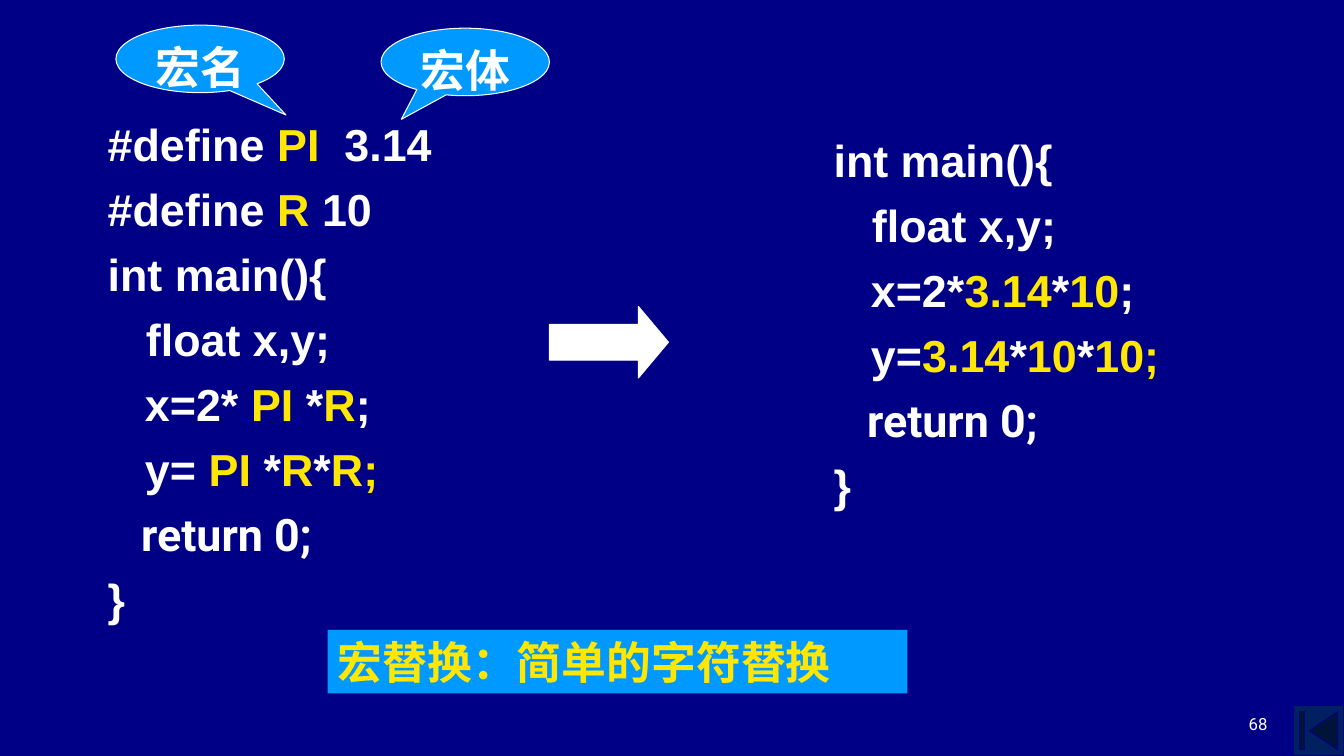
from pptx import Presentation
from pptx import util as u
from pptx.dml.color import RGBColor
from pptx.enum import shapes, text

EMU_PER_PX = 9144  # 100 px to the inch

NAVY = RGBColor(0x00, 0x00, 0x86)
DARK_BLUE = RGBColor(0x00, 0x20, 0x60)
SKY = RGBColor(0x00, 0x99, 0xFF)
WHITE = RGBColor(0xFF, 0xFF, 0xFF)
YELLOW = RGBColor(0xFF, 0xE7, 0x01)

SHAPE = shapes.MSO_SHAPE
ANCHOR = text.MSO_ANCHOR
ALIGN = text.PP_ALIGN

# Bars enclose the macro names and the values that replace them
MACRO_CODE = [
    "#define |PI|  3.14",
    "#define |R| 10",
    "int main(){",
    "\tfloat x,y;",
    "   x=2* |PI| *|R|;",
    "   y= |PI| *|R|*|R;",
    "   return 0;",
    "}",
]
EXPANDED_CODE = [
    "int main(){",
    "\tfloat x,y;",
    "   x=2*|3.14|*|10|;",
    "   y=|3.14|*|10|*|10;",
    "   return 0;",
    "}",
]


def px(length):
    return u.Emu(length * EMU_PER_PX)


def box(*lengths):
    return [px(length) for length in lengths]


def style(font, color, size=32, name="Arial", bold=True):
    font.name = name
    font.size = u.Pt(size)
    font.bold = bold
    font.color.rgb = color


def add_code(slide, area, lines):
    frame = slide.shapes.add_textbox(*box(*area)).text_frame
    frame.word_wrap = True
    frame.margin_top = px(10)
    for number, line in enumerate(lines):
        paragraph = frame.add_paragraph() if number else frame.paragraphs[0]
        paragraph.space_before = u.Pt(8 if number else 0)
        properties = paragraph._p.get_or_add_pPr()
        properties.set("marL", str(px(38)))
        properties.set("indent", str(px(-38)))
        font_name = "Roboto" if "return" in line else "Arial"
        for part, words in enumerate(line.split("|")):
            run = paragraph.add_run()
            run.text = words
            style(run.font, YELLOW if part % 2 else WHITE, name=font_name)


def add_figure(slide, kind, area, fill, outline=None, adjustments=()):
    figure = slide.shapes.add_shape(kind, *box(*area))
    figure.shadow.inherit = False
    figure.fill.solid()
    figure.fill.fore_color.rgb = fill
    if outline is None:
        figure.line.fill.background()
    else:
        figure.line.color.rgb = outline
        figure.line.width = u.Pt(0.75)
    for index, value in enumerate(adjustments):
        figure.adjustments[index] = value
    return figure


def add_label(holder, words, color, align, anchor, **font):
    frame = holder.text_frame
    frame.word_wrap = True
    frame.vertical_anchor = anchor
    frame.text = words
    paragraph = frame.paragraphs[0]
    paragraph.alignment = align
    style(paragraph.runs[0].font, color, name="Roboto", **font)


def add_callout(slide, area, words, tail):
    callout = add_figure(slide, SHAPE.OVAL_CALLOUT, area, SKY, WHITE, tail)
    add_label(callout, words, WHITE, ALIGN.CENTER, ANCHOR.TOP)


def main():
    deck = Presentation()
    deck.slide_width, deck.slide_height = box(1333, 750)
    slide = deck.slides.add_slide(deck.slide_layouts[6])
    slide.background.fill.solid()
    slide.background.fill.fore_color.rgb = NAVY

    # Navigation button and page number
    add_figure(slide, SHAPE.ACTION_BUTTON_BEGINNING, (1283, 700, 50, 50),
               DARK_BLUE, NAVY)
    page_number = slide.shapes.add_textbox(*box(956, 683, 311, 50))
    add_label(page_number, "68", WHITE, ALIGN.RIGHT, ANCHOR.BOTTOM,
              size=12, bold=False)

    # Code before and after replacement
    add_code(slide, (97, 106, 386, 515), MACRO_CODE)
    add_code(slide, (817, 122, 417, 382), EXPANDED_CODE)
    add_figure(slide, SHAPE.RIGHT_ARROW, (545, 304, 118, 71), WHITE, WHITE,
               (0.5, 0.42))

    # Conclusion
    conclusion = add_figure(slide, SHAPE.RECTANGLE, (325, 625, 575, 63), SKY)
    add_label(conclusion, "宏替换：简单的字符替换", YELLOW, ALIGN.LEFT,
              ANCHOR.MIDDLE)

    # Names for the parts of a definition
    add_callout(slide, (115, 25, 167, 67), "宏名", (0.51, 0.83))
    add_callout(slide, (378, 28, 167, 67), "宏体", (-0.38, 0.85))

    deck.save("out.pptx")


if __name__ == "__main__":
    main()
